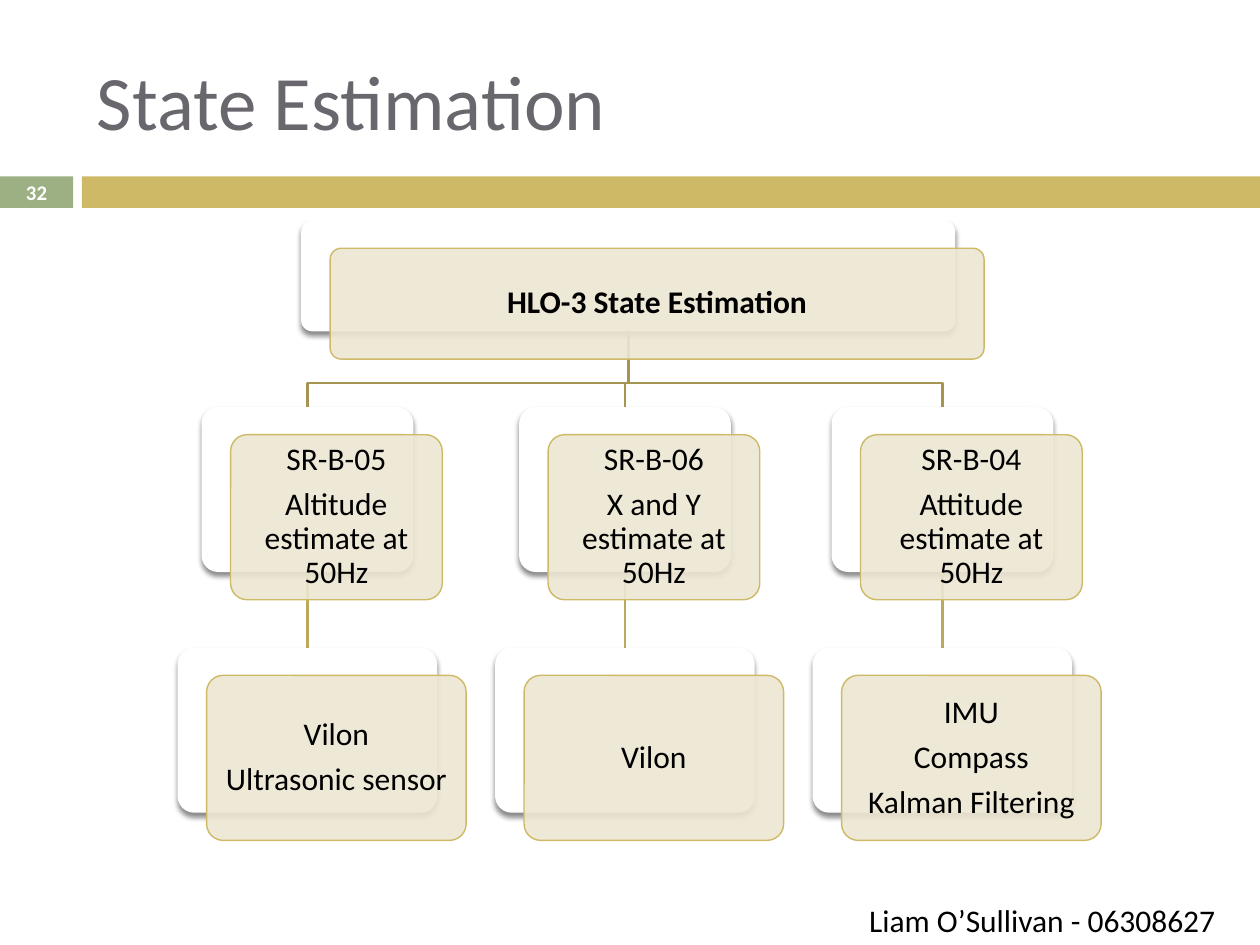
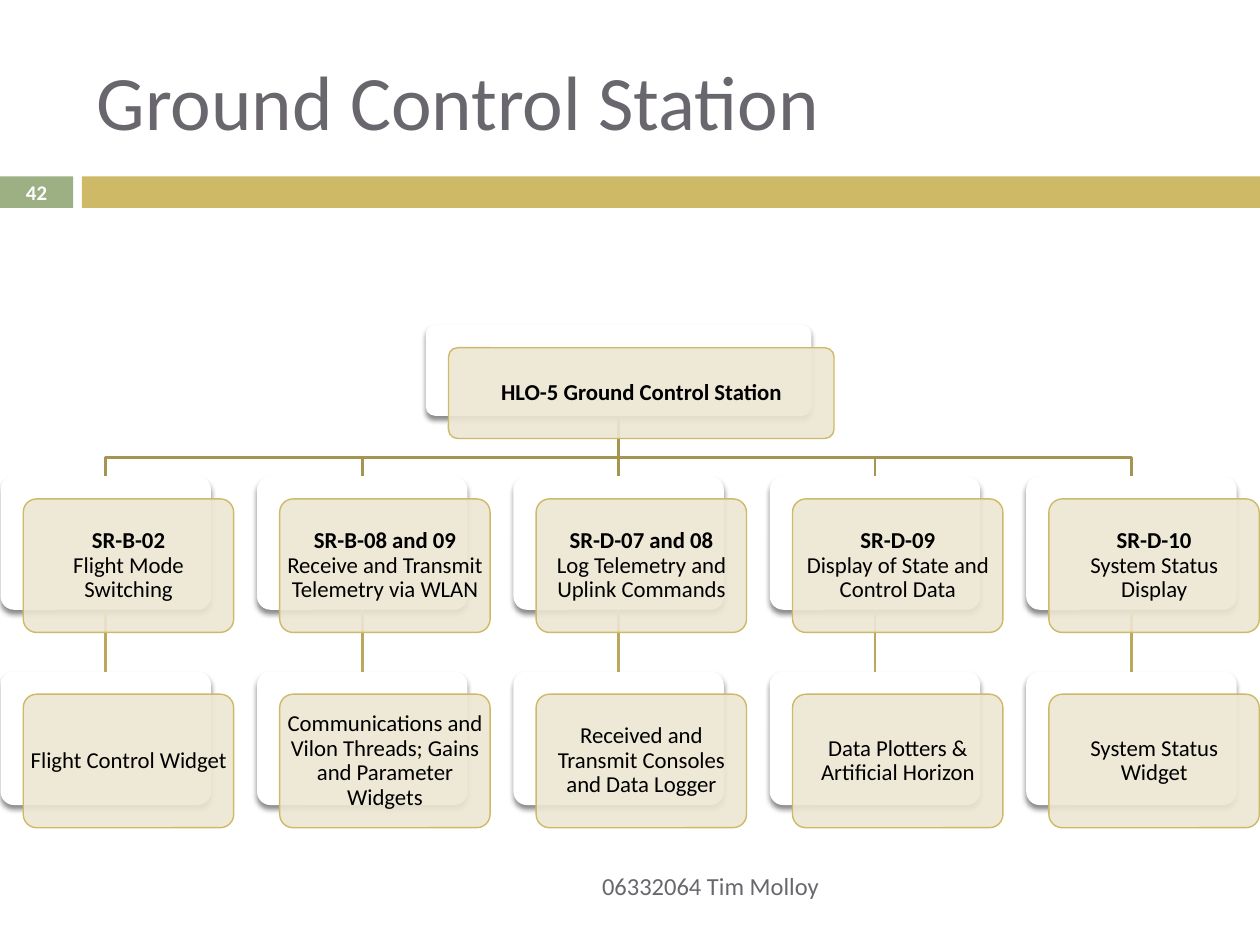
from copy import deepcopy

from lxml import etree
from pptx import Presentation
from pptx import util as u
from pptx.dml.color import RGBColor
from pptx.enum import shapes, text
from pptx.oxml import ns

FONT = "Calibri"
GREEN = RGBColor(0x9C, 0xB0, 0x84)
GOLD = RGBColor(0xCE, 0xB9, 0x66)
CREAM = RGBColor(0xED, 0xE6, 0xD3)
GREY = RGBColor(0x69, 0x67, 0x6D)
WHITE = RGBColor(0xFF, 0xFF, 0xFF)
BLACK = RGBColor(0, 0, 0)
TRUNK = RGBColor(0xA5, 0x94, 0x52)
TWIG = RGBColor(0xBB, 0xA8, 0x5D)
LEFT, MID, RIGHT = text.PP_ALIGN.LEFT, text.PP_ALIGN.CENTER, text.PP_ALIGN.RIGHT


def add(root, tag, **attrs):
    return etree.SubElement(root, ns.qn(tag), {k: str(v) for k, v in attrs.items()})


def write(frame, *paras, size=18, color=BLACK, bold=False, align=LEFT,
          wrap=True, middle=True, pad=None, lead=None, after=0):
    frame.word_wrap = wrap
    frame.vertical_anchor = text.MSO_ANCHOR.MIDDLE if middle else text.MSO_ANCHOR.TOP
    if pad is not None:
        frame.margin_left = frame.margin_right = u.Inches(pad)
        frame.margin_top = frame.margin_bottom = u.Inches(pad)
    for n, para in enumerate(paras):
        p = frame.add_paragraph() if n else frame.paragraphs[0]
        p.alignment = align
        p.space_after = u.Pt(after)
        if lead:
            p.line_spacing = lead
        parts = para.split("\n")
        for i, part in enumerate(parts):
            if i:
                p.add_line_break()
            run = p.add_run()
            run.text = part
            font = run.font
            font.name, font.size = FONT, u.Pt(size)
            font.bold = bold or i < len(parts) - 1
            font.color.rgb = color
        for br in p._p.findall(ns.qn("a:br")):
            br.append(deepcopy(p.runs[0]._r.rPr))


class Deck:
    def __init__(self):
        self.prs = Presentation()
        self.prs.slide_width = u.Inches(10)
        self.prs.slide_height = u.Inches(7.5)
        self.slide = None

    def page(self, title, number):
        self.slide = self.prs.slides.add_slide(self.prs.slide_layouts[6])
        self.shape("RECTANGLE", (0, 1.4, 0.58, 0.25), GREEN)
        self.shape("RECTANGLE", (0.65, 1.4, 9.35, 0.25), GOLD)
        self.label((0.67, 0.25, 8.92, 1.08), title, size=44, color=GREY)
        self.label((0, 1.39, 0.58, 0.27), number, size=11.9, color=WHITE,
                   bold=True, align=MID)

    def shape(self, kind, box, fill):
        item = self.slide.shapes.add_shape(
            getattr(shapes.MSO_SHAPE, kind), *map(u.Inches, box))
        item.shadow.inherit = False
        item.fill.solid()
        item.fill.fore_color.rgb = fill
        item.line.fill.background()
        return item

    def label(self, box, words, **style):
        item = self.slide.shapes.add_textbox(*map(u.Inches, box))
        write(item.text_frame, words, **style)

    def back(self, box):
        card = self.shape("ROUNDED_RECTANGLE", box, WHITE)
        card.adjustments[0] = 0.1
        glow = add(card._element.spPr.find(ns.qn("a:effectLst")), "a:outerShdw",
                   blurRad=u.Pt(3), dist=u.Pt(2.4), dir=5400000,
                   algn="ctr", rotWithShape=0)
        add(add(glow, "a:srgbClr", val="000000"), "a:alpha", val=45000)
        return card

    def front(self, box, shift, paras, size, pad, bold=False):
        x, y, w, h = box
        card = self.shape("ROUNDED_RECTANGLE", (x + shift[0], y + shift[1], w, h), CREAM)
        card.adjustments[0] = 0.1
        tint = card._element.spPr.find(ns.qn("a:solidFill"))
        add(tint[0], "a:alpha", val=90000)
        card.line.color.rgb = GOLD
        card.line.width = u.Pt(0.79)
        write(card.text_frame, *paras, size=size, bold=bold, align=MID,
              pad=pad, lead=0.9, after=size * 0.35)

    def link(self, top, low, color):
        line = self.slide.shapes.add_connector(shapes.MSO_CONNECTOR.STRAIGHT, 0, 0, 0, 0)
        line.begin_connect(top, 2)
        line.end_connect(low, 0)
        line.line.color.rgb = color
        line.line.width = u.Pt(1.5)
        add(line._element.spPr, "a:effectLst")

    def bend(self, x1, y1, x2, y2, turn):
        pts = [(u.Inches(x), u.Inches(y))
               for x, y in ((x1, y1), (x1, turn), (x2, turn), (x2, y2))]
        pen = self.slide.shapes.build_freeform(*pts[0])
        pen.add_line_segments(pts[1:], close=False)
        line = pen.convert_to_shape()
        line.fill.background()
        line.line.color.rgb = TRUNK
        line.line.width = u.Pt(1.5)
        line.shadow.inherit = False

    def tree(self, head, root, cols, first, step, rows, high, wide, turn,
             shift, size, pad):
        top = self.back(root)
        stem = round(root[0] + root[2] / 2, 2)
        foot = root[1] + root[3]
        cards = [(root, [head], True)]
        for n, (width, *pair) in enumerate(cols):
            mid = first + n * step
            nodes = []
            for y, w, paras in zip(rows, (width, wide), pair):
                box = (mid - w / 2, y, w, high)
                nodes.append(self.back(box))
                cards.append((box, paras, False))
            if abs(mid - stem) < 0.01:
                self.link(top, nodes[0], TRUNK)
            else:
                self.bend(stem, foot, mid, rows[0], turn)
            self.link(*nodes, TWIG)
        for box, paras, bold in cards:
            self.front(box, shift, paras, size, pad, bold)


def main():
    deck = Deck()

    deck.page("State Estimation", "32")
    deck.tree(
        "HLO-3 State Estimation", (2.39, 1.75, 5.19, 0.88),
        [(1.68, ["SR-B-05", "Altitude estimate at 50Hz"],
          ["Vilon", "Ultrasonic sensor"]),
         (1.68, ["SR-B-06", "X and Y estimate at 50Hz"], ["Vilon"]),
         (1.76, ["SR-B-04", "Attitude estimate at 50Hz"],
          ["IMU", "Compass", "Kalman Filtering"])],
        first=2.44, step=2.52, rows=(3.23, 5.14), high=1.31, wide=2.06,
        turn=3.04, shift=(0.23, 0.22), size=18, pad=0.05)
    deck.label((6.8, 7.1, 3.07, 0.4), "Liam O’Sullivan - 06308627",
               wrap=False, middle=False)

    deck.page("Ground Control Station", "42")
    deck.tree(
        "HLO-5 Ground Control Station", (3.38, 2.58, 3.06, 0.72),
        [(1.67, ["SR-B-02\nFlight Mode Switching"], ["Flight Control Widget"]),
         (1.67, ["SR-B-08 and 09\nReceive and Transmit Telemetry via WLAN"],
          ["Communications and Vilon Threads; Gains and Parameter Widgets"]),
         (1.67, ["SR-D-07 and 08\nLog Telemetry and Uplink Commands"],
          ["Received and Transmit Consoles and Data Logger"]),
         (1.67, ["SR-D-09\nDisplay of State and Control Data"],
          ["Data Plotters & Artificial Horizon"]),
         (1.67, ["SR-D-10\nSystem Status Display"], ["System Status Widget"])],
        first=0.84, step=2.035, rows=(3.78, 5.33), high=1.06, wide=1.67,
        turn=3.63, shift=(0.18, 0.18), size=13, pad=0.02)
    deck.label((0.67, 6.83, 5.93, 0.4), "06332064 Tim Molloy",
               size=14, color=GREY, align=RIGHT)

    deck.prs.save("out.pptx")


if __name__ == "__main__":
    main()
